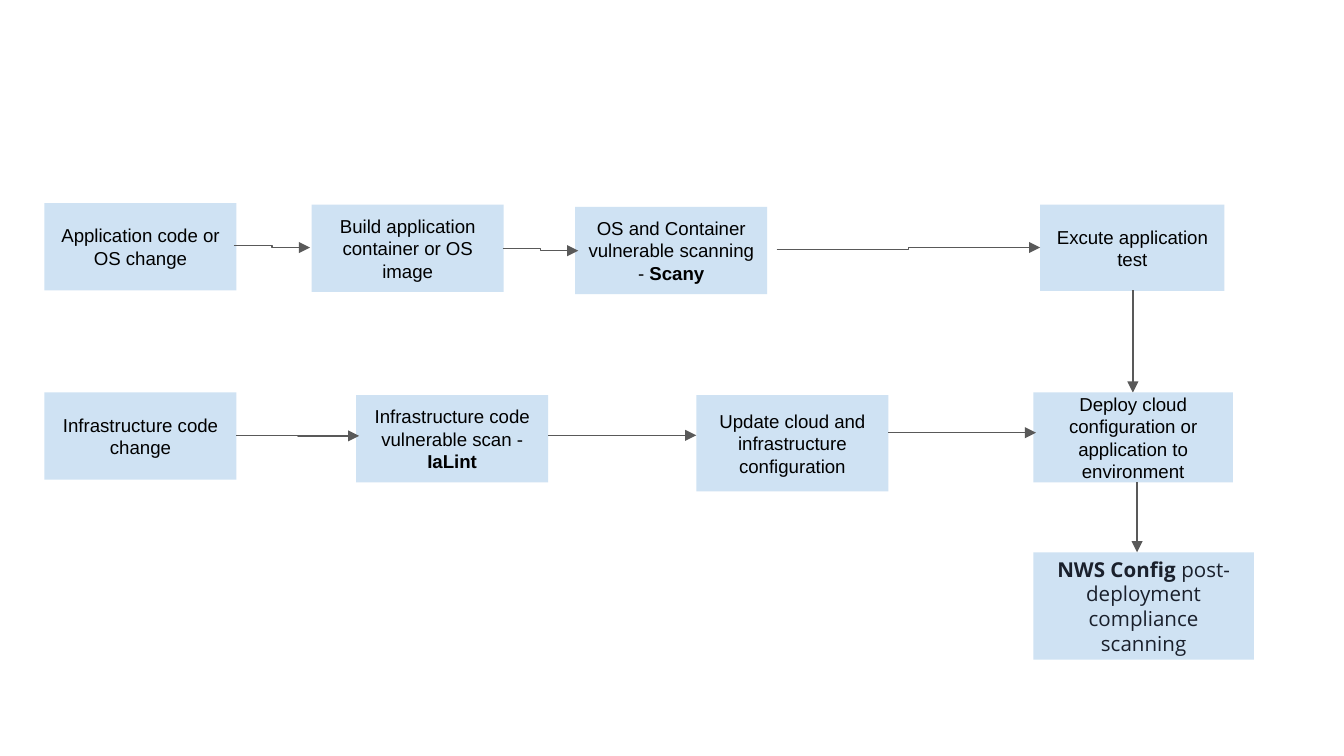
from lxml.etree import SubElement
from pptx import Presentation
from pptx.dml.color import RGBColor
from pptx.enum.shapes import MSO_CONNECTOR, MSO_SHAPE
from pptx.enum.text import MSO_ANCHOR, PP_ALIGN
from pptx.oxml.ns import qn
from pptx.util import Cm, Pt

COLORS = {"step": "CFE2F3", "arrow": "595959", "text": "000000", "dark": "1A202C"}
STEP_WIDTH, STEP_HEIGHT, INSET = 3.63, 1.65, 0.25


def add_text(frame, spans, font="Arial", size=10, color="text"):
    """Write one centred paragraph from (text, bold) spans."""
    frame.word_wrap = True
    frame.vertical_anchor = MSO_ANCHOR.MIDDLE
    frame.margin_left = frame.margin_right = Cm(INSET)
    frame.margin_top = frame.margin_bottom = Cm(INSET)
    para = frame.paragraphs[0]
    para.alignment = PP_ALIGN.CENTER
    for text, bold in spans:
        span = para.add_run()
        span.text = text
        span.font.name = font
        span.font.size = Pt(size)
        span.font.bold = bold
        span.font.color.rgb = RGBColor.from_string(COLORS[color])


def add_step(page, left, top, spans, width=STEP_WIDTH, height=STEP_HEIGHT, **text_format):
    """Draw one step of the pipeline."""
    box = page.shapes.add_shape(
        MSO_SHAPE.RECTANGLE, Cm(left), Cm(top), Cm(width), Cm(height))
    box.shadow.inherit = False
    box.fill.solid()
    box.fill.fore_color.rgb = RGBColor.from_string(COLORS["step"])
    box.line.fill.background()
    add_text(box.text_frame, spans, **text_format)


def add_arrow(page, start, end):
    """Join two points: straight when vertical, with an elbow otherwise."""
    kind = MSO_CONNECTOR.STRAIGHT if start[0] == end[0] else MSO_CONNECTOR.ELBOW
    arrow = page.shapes.add_connector(kind, *(Cm(value) for value in (*start, *end)))
    arrow.line.color.rgb = RGBColor.from_string(COLORS["arrow"])
    arrow.line.width = Pt(0.75)
    SubElement(arrow.line._get_or_add_ln(), qn("a:tailEnd"), type="triangle")
    SubElement(arrow._element.spPr, qn("a:effectLst"))


def add_flow(page, left, top, steps, arrows):
    """Draw a row of steps and arrows, all offset from its top left corner."""
    for across, down, spans, size in steps:
        add_step(page, left + across, top + down, spans, **size)
    for start, end in arrows:
        add_arrow(page, *((left + x, top + y) for x, y in (start, end)))


def add_application_flow(page, left, top):
    """Draw the application row."""
    add_flow(page, left, top, [
        (0, 0, [("Application code or OS change", False)], {}),
        (5.05, 0.03, [("Build application container or OS image", False)], {}),
        (10.03, 0.07, [("OS and Container vulnerable scanning - ", False),
                       ("Scany", True)], {}),
        (18.82, 0.03, [("Excute application test", False)],
         {"width": 3.48, "height": 1.63}),
    ], [
        ((3.58, 0.8), (5.02, 0.84)),
        ((8.66, 0.86), (10.09, 0.9)),
        ((13.84, 0.88), (18.82, 0.84)),
        ((20.57, 1.65), (20.57, 3.58)),
    ])


def add_infrastructure_flow(page, left, top):
    """Draw the infrastructure row and the compliance step below its end."""
    add_flow(page, left, top, [
        (0, 0, [("Infrastructure code change", False)], {}),
        (5.89, 0.05, [("Infrastructure code vulnerable scan - ", False),
                      ("IaLint", True)], {}),
        (12.32, 0.05, [("Update cloud and infrastructure configuration", False)],
         {"height": 1.82}),
        (18.69, 0, [("Deploy cloud configuration or application to environment", False)],
         {"width": 3.77, "height": 1.7}),
        (18.69, 3.02, [("NWS Config ", True),
                       ("post-deployment compliance scanning", False)],
         {"width": 4.17, "height": 2.03, "font": "Open Sans", "size": 11,
          "color": "dark"}),
    ], [
        ((3.63, 0.81), (5.95, 0.82)),
        ((9.52, 0.81), (12.32, 0.81)),
        ((15.95, 0.76), (18.74, 0.76)),
        ((20.65, 1.7), (20.65, 3.02)),
    ])


def main():
    """Build the deck."""
    deck = Presentation()
    deck.slide_width, deck.slide_height = Cm(25.4), Cm(14.29)
    page = deck.slides.add_slide(deck.slide_layouts[6])
    add_application_flow(page, 0.84, 3.84)
    add_infrastructure_flow(page, 0.84, 7.42)
    deck.save("out.pptx")


main()
